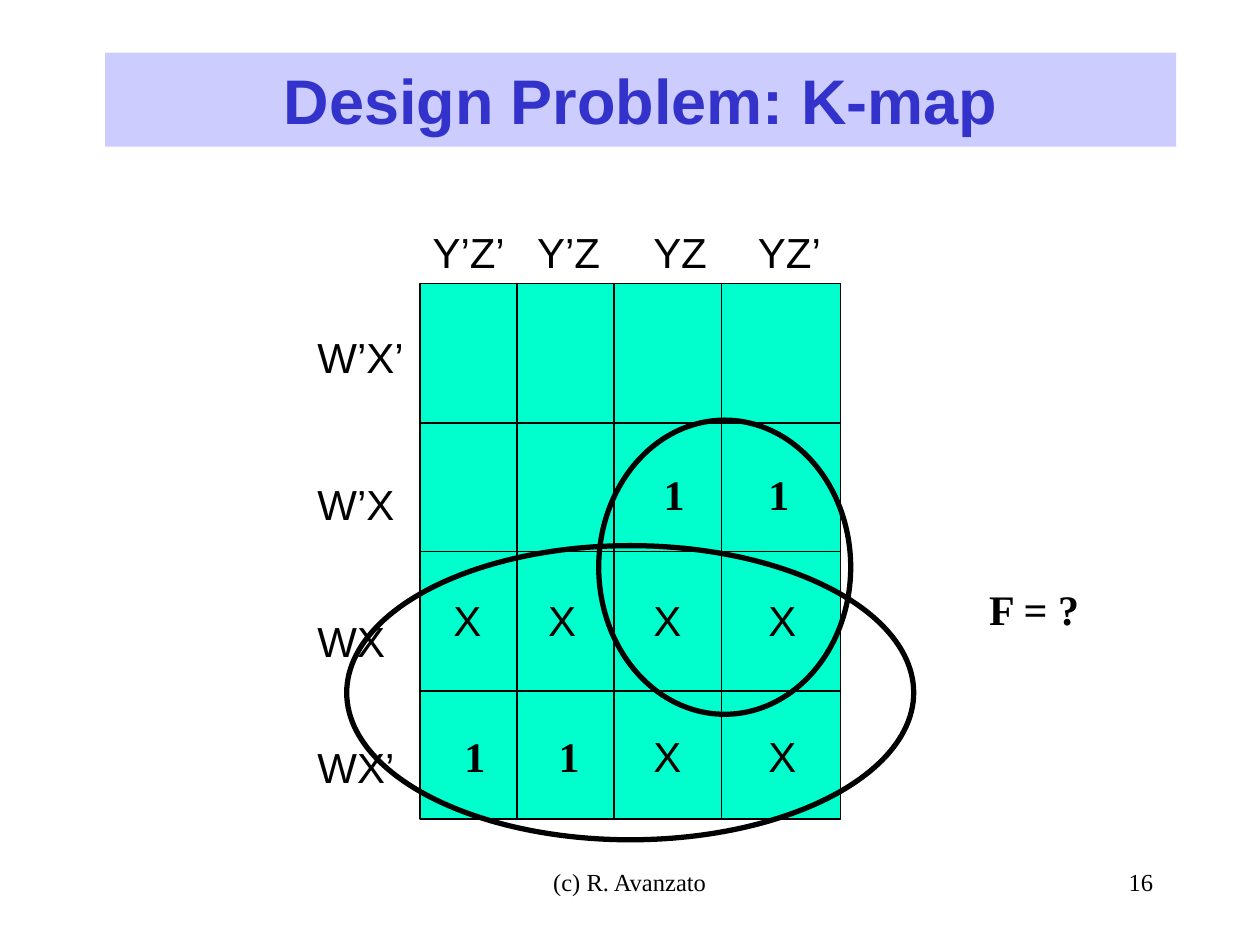
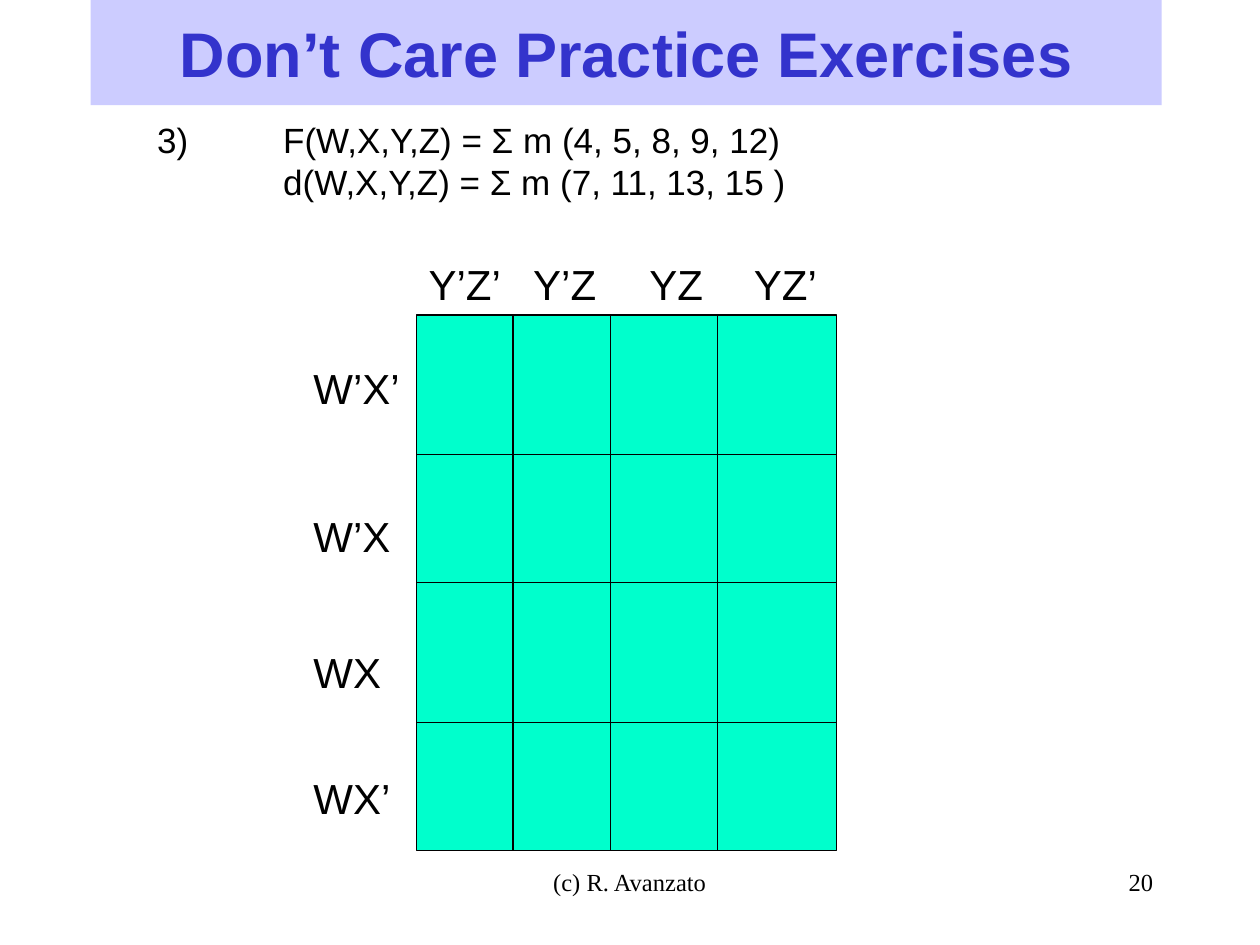
from itertools import pairwise

from lxml import etree
from pptx import Presentation
from pptx.dml.color import RGBColor
from pptx.enum.shapes import MSO_CONNECTOR as Connector, MSO_SHAPE as Shape
from pptx.enum.text import MSO_ANCHOR as Anchor, MSO_AUTO_SIZE as AutoSize, PP_ALIGN as Align
from pptx.oxml.ns import qn
from pptx.util import Cm, Pt

SANS, SERIF = "Arial", "Times New Roman"
INK, TITLE_INK, TITLE_BAND, MAP_FILL = "000000", "3333CC", "CCCCFF", "00FFCC"
BAND_WIDTH = 21.59
LABEL_HEIGHT = 1.27
TAB_STOP = 2.54
COPYRIGHT = "(c) R. Avanzato"

COLUMN_LABELS = [("Y’Z’", 0, 2), ("Y’Z", 2.11, 1.8), ("YZ", 4.45, 1.65), ("YZ’", 6.56, 1.8)]
ROW_LABELS = [("W’X’", 0.84, 2.3), ("W’X", 3.81, 2.1), ("WX", 6.56, 1.95), ("WX’", 9.1, 2.1)]
ROW_LABEL_OFFSET = -2.32
COLUMN_EDGES = [0, 1.95, 3.91, 6.08, 8.47]
HALF_EDGES = [0, 5.4, 10.79]
HALF_DIVIDER = 2.81

MARK_ROWS = ["", "  11", "XXXX", "11XX"]
MARK_TOPS = [0.64, 3.6, 6.14, 8.89]
MARK_STYLES = {
    "1": {"lefts": [0.64, 2.54, 4.66, 6.77], "width": 0.91, "font": SERIF, "bold": True},
    "X": {"lefts": [0.42, 2.33, 4.45, 6.77], "width": 1.07, "font": SANS, "bold": False},
}

DESIGN = {
    "title": "Design Problem: K-map", "number": "16",
    "band": (2.12, 1.06, 1.9), "map": (8.47, 5.72),
    "loops": [(6.99, 11, 11.43, 5.93), (12.07, 8.47, 5.08, 5.93)],
}
EXERCISE = {
    "title": "Don’t Care Practice Exercises", "number": "20",
    "band": (1.83, 0, 2.12), "map": (8.39, 6.35),
    "problem": ["3)\tF(W,X,Y,Z) = Σ m (4, 5, 8, 9, 12)", "\td(W,X,Y,Z) = Σ m (7, 11, 13, 15 )"],
}


def color(code):
    return RGBColor.from_string(code)


def add_tab_stop(paragraph):
    stops = etree.SubElement(paragraph._p.get_or_add_pPr(), qn("a:tabLst"))
    etree.SubElement(stops, qn("a:tab"), pos=str(Cm(TAB_STOP)), algn="l")


def style(frame, size, font, ink=INK, bold=False, align=Align.LEFT):
    for paragraph in frame.paragraphs:
        paragraph.alignment = align
        if "\t" in paragraph.text:
            add_tab_stop(paragraph)
        for run in paragraph.runs:
            run.font.size = Pt(size)
            run.font.name = font
            run.font.bold = bold
            run.font.color.rgb = color(ink)


def add_text(slide, text, left, top, width, height=LABEL_HEIGHT, size=24, font=SANS,
             bold=False, align=Align.LEFT, wrap=False):
    frame = slide.shapes.add_textbox(Cm(left), Cm(top), Cm(width), Cm(height)).text_frame
    frame.text = text
    frame.word_wrap = wrap
    frame.auto_size = AutoSize.NONE if wrap else AutoSize.SHAPE_TO_FIT_TEXT
    style(frame, size, font, bold=bold, align=align)


def add_outline(shapes, kind, left, top, width, height, fill=None, line=None):
    outline = shapes.add_shape(kind, Cm(left), Cm(top), Cm(width), Cm(height))
    outline.shadow.inherit = False
    if fill:
        outline.fill.solid()
        outline.fill.fore_color.rgb = color(fill)
    else:
        outline.fill.background()
    if line:
        outline.line.color.rgb = color(INK)
        outline.line.width = Pt(line)
    else:
        outline.line.fill.background()
    return outline


def add_divider(shapes, x1, y1, x2, y2):
    divider = shapes.add_connector(Connector.STRAIGHT, Cm(x1), Cm(y1), Cm(x2), Cm(y2))
    divider.line.color.rgb = color(INK)
    divider.line.width = Pt(0.75)
    etree.SubElement(divider._element.spPr, qn("a:effectLst"))


def add_map(slide, left, top):
    for label, offset, width in COLUMN_LABELS:
        add_text(slide, label, left + offset, top - LABEL_HEIGHT, width)
    right = left + COLUMN_EDGES[-1]
    for start, end in pairwise(HALF_EDGES):
        half = slide.shapes.add_group_shape().shapes
        add_outline(half, Shape.RECTANGLE, left, top + start, right - left, end - start, MAP_FILL, 0.75)
        middle = top + start + HALF_DIVIDER
        add_divider(half, left, middle, right, middle)
        for edge in COLUMN_EDGES[1:-1]:
            add_divider(half, left + edge, top + start, left + edge, top + end)
    for label, offset, width in ROW_LABELS:
        add_text(slide, label, left + ROW_LABEL_OFFSET, top + offset, width)


def add_marks(slide, left, top):
    for marks, offset in zip(MARK_ROWS, MARK_TOPS):
        for column, mark in enumerate(marks):
            if mark in MARK_STYLES:
                look = MARK_STYLES[mark]
                add_text(slide, mark, left + look["lefts"][column], top + offset, look["width"],
                         font=look["font"], bold=look["bold"])


def add_map_slide(deck, content):
    slide = deck.slides.add_slide(deck.slide_layouts[6])
    add_text(slide, COPYRIGHT, 8.67, 17.35, 8.05, size=14, font=SERIF, align=Align.CENTER, wrap=True)
    add_text(slide, content["number"], 18.21, 17.35, 5.29, size=14, font=SERIF, align=Align.RIGHT, wrap=True)
    left, top, height = content["band"]
    band = add_outline(slide.shapes, Shape.RECTANGLE, left, top, BAND_WIDTH, height, TITLE_BAND)
    band.text_frame.text = content["title"]
    band.text_frame.vertical_anchor = Anchor.MIDDLE
    style(band.text_frame, 36, SANS, TITLE_INK, True, Align.CENTER)
    add_map(slide, *content["map"])
    return slide


def main():
    deck = Presentation()
    deck.slide_width, deck.slide_height = Cm(25.4), Cm(19.05)

    design = add_map_slide(deck, DESIGN)
    add_marks(design, *DESIGN["map"])
    add_text(design, "F = ?", 19.69, 11.63, 2.34, font=SERIF, bold=True)
    for loop in DESIGN["loops"]:
        add_outline(design.shapes, Shape.OVAL, *loop, line=3)

    exercise = add_map_slide(deck, EXERCISE)
    add_text(exercise, "\n".join(EXERCISE["problem"]), 2.92, 2.26, 18.21, 2.79, size=20, wrap=True)

    deck.save("out.pptx")


if __name__ == "__main__":
    main()
